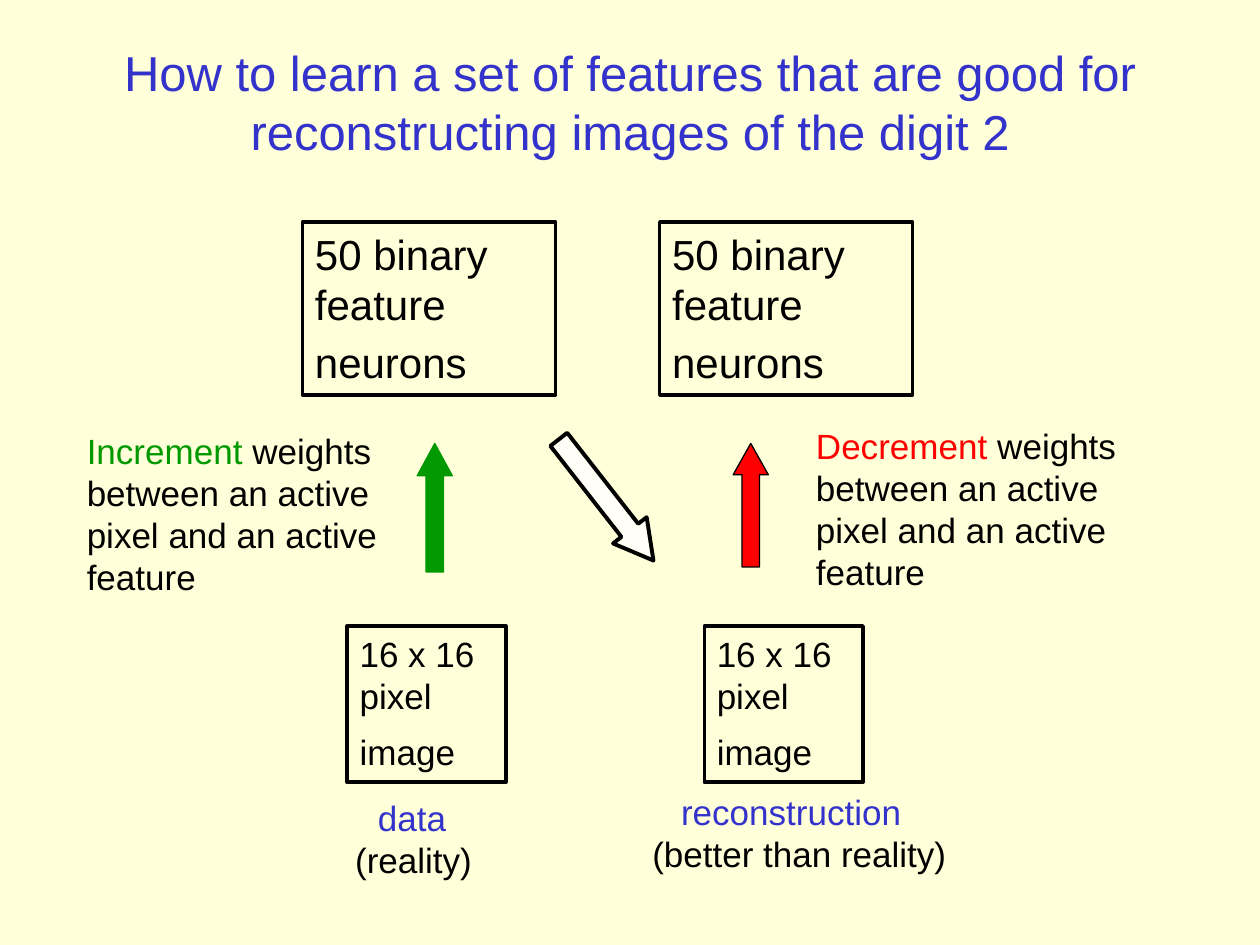
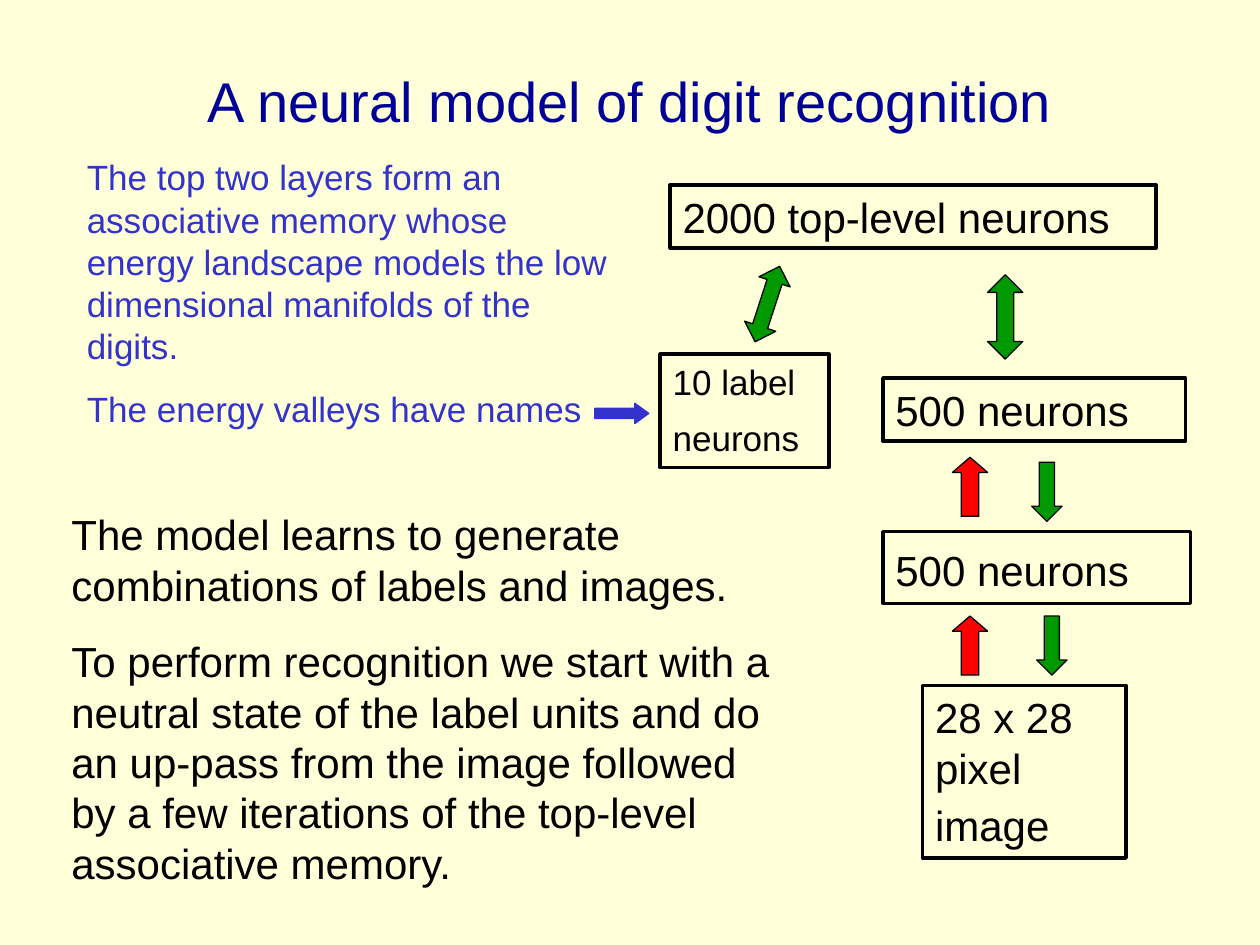
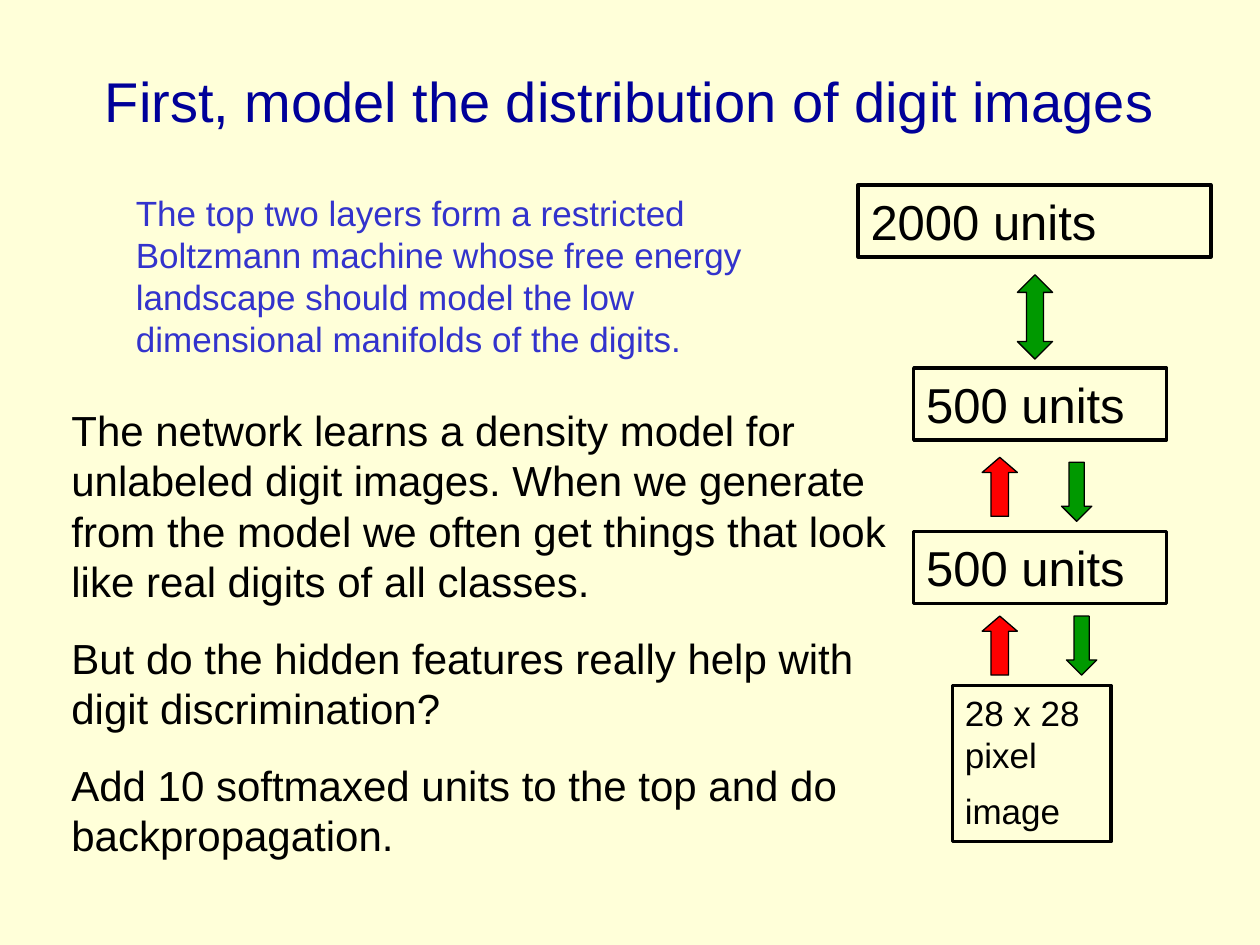
import pptx
import pptx.dml.color
import pptx.enum.shapes
import pptx.enum.text
import pptx.util
from pptx.util import Cm

PAPER, INK, NAVY, BLUE = "FFFFD9", "000000", "000099", "3333CC"
GREEN, RED, WHITE = "009900", "FF0000", "FFFFF7"
FONT = "Arial"
TALL_LINE = 28  # size of the space that opens up a box's last line

SHAPES = pptx.enum.shapes.MSO_SHAPE
ALIGN = pptx.enum.text.PP_ALIGN
ANCHOR = pptx.enum.text.MSO_ANCHOR
AUTOFIT = pptx.enum.text.MSO_AUTO_SIZE


def rgb(code):
    return pptx.dml.color.RGBColor.from_string(code)


class Deck:
    def __init__(self):
        self.prs = pptx.Presentation()
        self.prs.slide_width, self.prs.slide_height = Cm(25.4), Cm(19.05)
        background = self.prs.slide_master.background.fill
        background.solid()
        background.fore_color.rgb = rgb(PAPER)
        self.slide = None

    def new_slide(self, heading, top=0.43, size=32, color=NAVY):
        self.slide = self.prs.slides.add_slide(self.prs.slide_layouts[5])
        title = self.slide.shapes.title
        title.left, title.top = Cm(1.27), Cm(top)
        title.width, title.height = Cm(22.86), Cm(3.18)
        frame = title.text_frame
        frame.auto_size = AUTOFIT.NONE
        frame.vertical_anchor = ANCHOR.MIDDLE
        frame.paragraphs[0].alignment = ALIGN.CENTER
        self.run(frame.paragraphs[0], heading, size, color)

    def run(self, paragraph, words, size, color):
        run = paragraph.add_run()
        run.text = words
        run.font.name = FONT
        run.font.size = pptx.util.Pt(size)
        run.font.color.rgb = rgb(color)

    def text(self, left, top, width, height, paragraphs, size, gap=0.625):
        """Each paragraph is a list of (words, colour); gap is a share of the size."""
        box = self.slide.shapes.add_textbox(Cm(left), Cm(top), Cm(width), Cm(height))
        frame = box.text_frame
        frame.word_wrap = True
        frame.auto_size = AUTOFIT.SHAPE_TO_FIT_TEXT
        for index, runs in enumerate(paragraphs):
            paragraph = frame.paragraphs[0] if index == 0 else frame.add_paragraph()
            if index:
                paragraph.space_before = pptx.util.Pt(size * gap)
            for words, color in runs:
                self.run(paragraph, words, size, color)
        return frame

    def caption(self, left, top, width, name, remark, indent):
        """Two lines, the first one indented."""
        frame = self.text(left, top, width, 1.96,
                          [[(name, BLUE)], [(remark, INK)]], 20, gap=0)
        frame.paragraphs[0]._p.get_or_add_pPr().set("marL", str(Cm(indent)))

    def shape(self, preset, left, top, width, height, line, weight):
        shape = self.slide.shapes.add_shape(
            preset, Cm(left), Cm(top), Cm(width), Cm(height))
        shape.shadow.inherit = False
        shape.line.color.rgb = rgb(line)
        shape.line.width = pptx.util.Pt(weight)
        return shape

    def layer(self, left, top, width, height, label, size, tall_end=False):
        """Outlined box for one layer of the network."""
        box = self.shape(SHAPES.RECTANGLE, left, top, width, height, INK, 2)
        box.fill.background()
        frame = box.text_frame
        frame.word_wrap = True
        frame.vertical_anchor = ANCHOR.TOP
        frame.auto_size = AUTOFIT.SHAPE_TO_FIT_TEXT
        frame.paragraphs[0].alignment = ALIGN.LEFT
        self.run(frame.paragraphs[0], label, size, INK)
        if tall_end:
            self.run(frame.paragraphs[0], " ", TALL_LINE, INK)

    def arrow(self, preset, left, top, width, height, fill, head,
              line=INK, weight=0.75, rotation=0):
        arrow = self.shape(preset, left, top, width, height, line, weight)
        arrow.fill.solid()
        arrow.fill.fore_color.rgb = rgb(fill)
        arrow.adjustments[0], arrow.adjustments[1] = 0.5, head
        arrow.rotation = rotation

    def layer_arrows(self, left):
        """Arrows between the four stacked layers."""
        self.arrow(SHAPES.UP_DOWN_ARROW, left + 0.71, 5.54, 0.71, 1.7, GREEN, 0.48)
        for up_top, down_top, shift in ((9.22, 9.32, 1.6), (12.42, 12.42, 1.7)):
            self.arrow(SHAPES.UP_ARROW, left, up_top, 0.71, 1.19, RED, 0.43)
            self.arrow(SHAPES.DOWN_ARROW, left + shift, down_top, 0.61, 1.19, GREEN, 0.5)


def feature_learning(deck):
    deck.new_slide("How to learn a set of features that are good for "
                   "reconstructing images of the digit 2", 0.46, 28, BLUE)
    for shift in (0, 7.2):
        deck.layer(6.1 + shift, 4.48, 5.1, 3.48, "50 binary feature neurons", 24, True)
        deck.layer(7 + shift, 12.62, 3.2, 3.15, "16 x 16 pixel image", 20, True)
    deck.arrow(SHAPES.DOWN_ARROW, 11.79, 8.53, 0.86, 3.1, WHITE, 0.9,
               weight=2.25, rotation=322)
    deck.arrow(SHAPES.UP_ARROW, 8.41, 8.94, 0.71, 2.59, GREEN, 0.92, line=GREEN)
    deck.arrow(SHAPES.UP_ARROW, 14.78, 8.94, 0.71, 2.49, RED, 0.89)
    for left, top, change, color in ((1.5, 8.53, "Increment", GREEN),
                                     (16.2, 8.43, "Decrement", RED)):
        rule = " weights between an active pixel and an active feature"
        deck.text(left, top, 7.29, 3.66, [[(change, color), (rule, INK)]], 20)
    deck.caption(6.91, 15.93, 3.5, "data", "(reality)", 0.46)
    deck.caption(12.9, 15.82, 6.8, "reconstruction", "(better than reality)", 0.58)


def digit_recognition(deck):
    deck.new_slide("A neural model of digit recognition")
    deck.layer(13.51, 3.73, 9.8, 1.27, "2000 top-level neurons", 24)
    deck.layer(17.8, 7.62, 6.1, 1.27, "500 neurons", 24)
    deck.layer(17.8, 10.72, 6.2, 1.45, "500 neurons", 24, True)
    deck.layer(18.6, 13.82, 4.1, 3.48, "28 x 28 pixel image", 24, True)
    deck.layer(13.31, 7.14, 3.4, 2.29, "10 label neurons", 20, True)
    deck.layer_arrows(19.2)
    deck.arrow(SHAPES.UP_DOWN_ARROW, 15.14, 5.33, 0.66, 1.6, GREEN, 0.48, rotation=18)
    deck.text(1.19, 10.13, 15.01, 7.9, [
        [("The model learns to generate combinations of labels and images.", INK)],
        [("To perform recognition we start with a neutral state of the label units "
          "and do an up-pass from the image followed by a few iterations of the "
          "top-level associative memory.", INK)]], 24)
    deck.text(1.5, 3.02, 11, 5.79, [
        [("The top two layers form an associative memory whose energy landscape "
          "models the low dimensional manifolds of the digits.", BLUE)],
        [("The energy valleys have names", BLUE)]], 20)
    deck.arrow(SHAPES.RIGHT_ARROW, 11.99, 8.13, 1.09, 0.41, BLUE, 0.69, line=BLUE)


def digit_distribution(deck):
    deck.new_slide("First, model the distribution of digit images")
    deck.layer(17.3, 3.73, 7.11, 1.45, "2000 units", 28)
    for top in (7.42, 10.72):
        deck.layer(18.42, top, 5.1, 1.45, "500 units", 28)
    deck.layer(19.2, 13.82, 3.2, 3.15, "28 x 28 pixel image", 20, True)
    deck.layer_arrows(19.8)
    deck.text(1.19, 8.03, 17, 9.45, [
        [("The network learns a density model for unlabeled digit images. When we "
          "generate from the model we often get things that look like real digits "
          "of all classes.", INK)],
        [("But do the hidden features really help with digit discrimination?", INK)],
        [("Add 10 softmaxed units to the top and do backpropagation.", INK)]], 24)
    deck.text(2.49, 3.73, 13, 3.66, [
        [("The top two layers form a restricted Boltzmann machine whose free energy "
          "landscape should model the low dimensional manifolds of the digits.",
          BLUE)]], 20)


def main():
    deck = Deck()
    feature_learning(deck)
    digit_recognition(deck)
    digit_distribution(deck)
    deck.prs.save("out.pptx")


if __name__ == "__main__":
    main()
